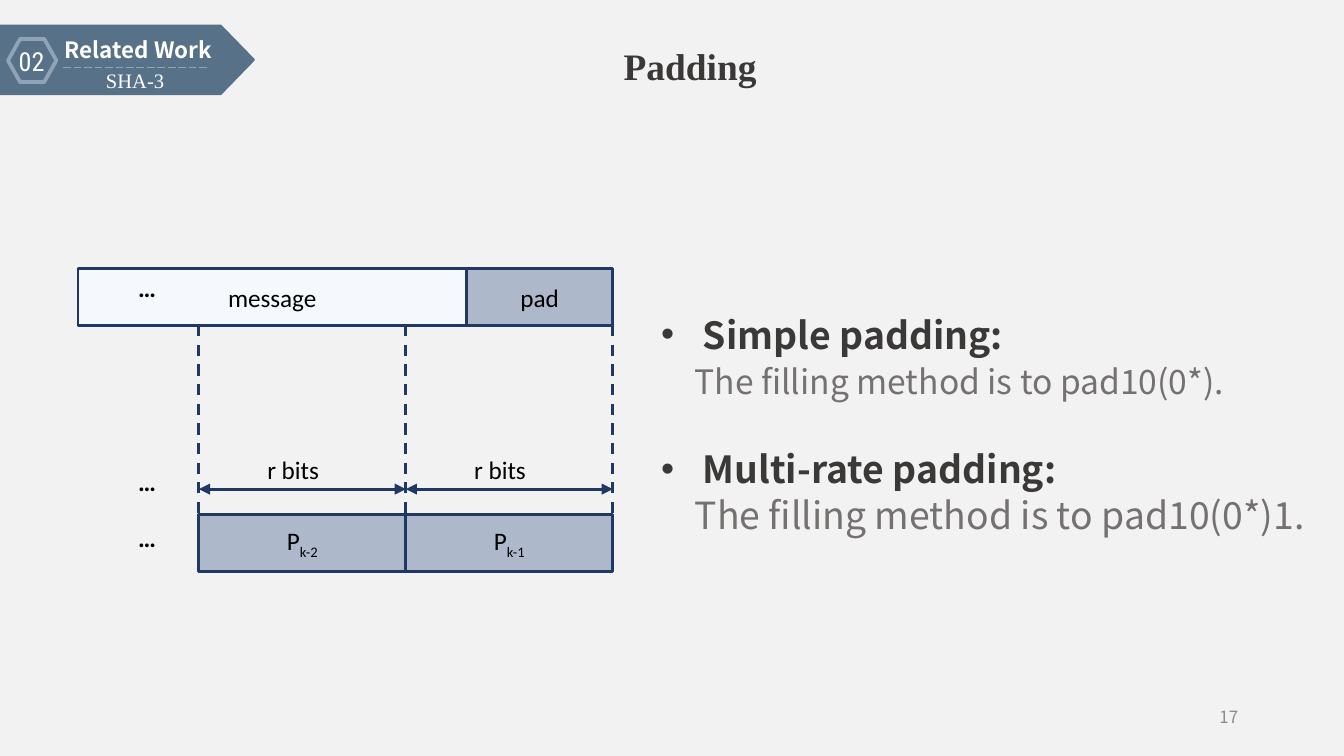
from dataclasses import dataclass

from lxml import etree
from pptx import Presentation
from pptx.dml.color import RGBColor
from pptx.enum import dml, shapes, text
from pptx.oxml import ns
from pptx.util import Inches, Pt


@dataclass(frozen=True)
class Theme:
    background: str = "F2F2F2"
    navy: str = "203864"
    pale: str = "F5F9FD"
    block: str = "ADB9CA"
    banner: str = "577188"
    banner_line: str = "8FA4B7"
    white: str = "FFFFFF"
    black: str = "000000"
    heading: str = "3B3838"
    body: str = "767171"
    page: str = "8C8C8C"
    sans: str = "Noto Sans CJK SC"
    serif: str = "Times New Roman"
    label_font: str = "Calibri"
    number_font: str = "Roboto Condensed"
    title_size: float = 20
    body_size: float = 18
    label_size: float = 13.5
    number_size: float = 14
    section_size: float = 12
    topic_size: float = 11
    page_size: float = 9


THEME = Theme()
CENTER = text.PP_ALIGN.CENTER


def rgb(value):
    return RGBColor.from_string(value)


def set_font(paragraph, name, size, color, bold=False):
    font = paragraph.font
    font.name, font.size, font.bold = name, Pt(size), bold
    font.color.rgb = rgb(color)


def add_text(slide, box, words, name, size, color, bold=False, align=None, wrap=True):
    frame = slide.shapes.add_textbox(*map(Inches, box)).text_frame
    frame.word_wrap = wrap
    paragraph = frame.paragraphs[0]
    paragraph.text = words
    paragraph.alignment = align
    set_font(paragraph, name, size, color, bold)


def add_outline(slide, kind, box, fill, line, width):
    shape = slide.shapes.add_shape(kind, *map(Inches, box))
    shape.shadow.inherit = False
    if fill:
        shape.fill.solid()
        shape.fill.fore_color.rgb = rgb(fill)
    else:
        shape.fill.background()
    shape.line.color.rgb = rgb(line)
    shape.line.width = Pt(width)
    return shape


def add_line(slide, start, end, color, width, dash=None, arrows=False):
    line = slide.shapes.add_connector(
        shapes.MSO_CONNECTOR.STRAIGHT, *map(Inches, (*start, *end)))
    line.line.color.rgb = rgb(color)
    line.line.width = Pt(width)
    if dash:
        line.line.dash_style = dash
    if arrows:
        outline = line.line._get_or_add_ln()
        for tip in ("a:headEnd", "a:tailEnd"):
            etree.SubElement(outline, ns.qn(tip), type="triangle")
    etree.SubElement(line._element.spPr, ns.qn("a:effectLst"))


def add_block(slide, box, fill, words, subscript=None):
    block = add_outline(slide, shapes.MSO_SHAPE.RECTANGLE, box, fill, THEME.navy, 1.5)
    block.text_frame.vertical_anchor = text.MSO_ANCHOR.MIDDLE
    paragraph = block.text_frame.paragraphs[0]
    paragraph.alignment = CENTER
    paragraph.add_run().text = words
    if subscript:
        run = paragraph.add_run()
        run.text = subscript
        run.font._element.set("baseline", "-25000")
    set_font(paragraph, THEME.label_font, THEME.label_size, THEME.black)


def padding_diagram(slide, left, top, width, height):
    block_height, block_width, pad_width = 0.42, 1.54, 1.09
    right, bottom = left + width, top + height
    blocks_top = bottom - block_height
    arrow_y = blocks_top - 0.19
    first = right - 2 * block_width

    # Padded message
    add_block(slide, (left, top, width - pad_width, block_height), THEME.pale, "message")
    add_block(slide, (right - pad_width, top, pad_width, block_height), THEME.block, "pad")

    # Blocks of r bits
    for i, index in enumerate(("k-2", "k-1")):
        x = first + i * block_width
        add_block(slide, (x, blocks_top, block_width, block_height), THEME.block, "P", index)
        add_line(slide, (x, arrow_y), (x + block_width, arrow_y), THEME.navy, 1.5, arrows=True)
        add_text(slide, (x + 0.41, arrow_y - 0.31, 0.72, 0.4), "r bits",
                 THEME.label_font, THEME.label_size, THEME.black)

    # Block boundaries
    for i in range(3):
        x = first + i * block_width
        add_line(slide, (x, top + block_height), (x, blocks_top), THEME.navy, 1.5,
                 dml.MSO_LINE.DASH)

    # Earlier parts
    for y in (top - 0.02, arrow_y - 0.22, blocks_top + 0.01):
        add_text(slide, (left + 0.35, y, 0.34, 0.33), "…", THEME.label_font,
                 THEME.label_size, THEME.black, bold=True, wrap=False)


def padding_methods(slide, left, top, width, height):
    methods = (
        ("Simple padding:", "The filling method is to pad10(0*).", THEME.body_size, 2.5),
        ("Multi-rate padding:", "The filling method is to pad10(0*)1.", THEME.title_size, 0.5),
    )
    frame = slide.shapes.add_textbox(*map(Inches, (left, top, width, height))).text_frame
    frame.word_wrap = True
    for i, (method, rule, rule_size, rule_gap) in enumerate(methods):
        heading = frame.add_paragraph() if i else frame.paragraphs[0]
        heading.text = method
        if i:
            heading.space_before = Pt(24)
        props = heading._p.get_or_add_pPr()
        props.set("marL", str(Inches(0.31)))
        props.set("indent", str(-Inches(0.31)))
        etree.SubElement(props, ns.qn("a:buFont"), typeface="Arial")
        etree.SubElement(props, ns.qn("a:buChar"), char="•")
        set_font(heading, THEME.sans, THEME.title_size, THEME.heading, bold=True)

        detail = frame.add_paragraph()
        detail.text = rule
        detail.space_before = Pt(rule_gap)
        detail._p.get_or_add_pPr().set("marL", str(Inches(0.25)))
        set_font(detail, THEME.sans, rule_size, THEME.body)


def section_banner(slide, left, top, width, height):
    arrow = add_outline(slide, shapes.MSO_SHAPE.PENTAGON, (left, top, width, height),
                        THEME.banner, THEME.banner, 1)
    arrow.adjustments[0] = 0.485

    # Section number
    badge = add_outline(slide, shapes.MSO_SHAPE.HEXAGON,
                        (left + 0.06, top + 0.1, 0.36, 0.32), None, THEME.banner_line, 2)
    badge.adjustments[0] = 0.28
    etree.SubElement(badge.line._get_or_add_ln(), ns.qn("a:round"))
    add_text(slide, (left, top + 0.1, 0.47, 0.34), "02", THEME.number_font,
             THEME.number_size, THEME.white, align=CENTER)

    # Section and topic
    add_text(slide, (left + 0.24, top + 0.03, 1.58, 0.3), "Related Work", THEME.sans,
             THEME.section_size, THEME.white, bold=True, align=CENTER)
    add_line(slide, (left + 0.47, top + 0.31), (left + 1.56, top + 0.31),
             THEME.banner_line, 0.5, dml.MSO_LINE.LONG_DASH)
    add_text(slide, (left + 0.69, top + 0.27, 0.67, 0.29), "SHA-3", THEME.serif,
             THEME.topic_size, THEME.white)


def main():
    deck = Presentation()
    deck.slide_width = Inches(10)
    deck.slide_height = deck.slide_width * 9 // 16
    slide = deck.slides.add_slide(deck.slide_layouts[6])
    slide.background.fill.solid()
    slide.background.fill.fore_color.rgb = rgb(THEME.background)

    add_text(slide, (4.18, 0.27, 1.91, 0.44), "Padding", THEME.serif,
             THEME.title_size, THEME.heading, bold=True, align=CENTER)
    padding_diagram(slide, 0.58, 2, 3.98, 2.25)
    padding_methods(slide, 4.82, 2.27, 5.18, 2.12)
    section_banner(slide, 0, 0.19, 1.89, 0.51)
    add_text(slide, (7.06, 5.21, 2.25, 0.3), "17", THEME.sans, THEME.page_size,
             THEME.page, align=text.PP_ALIGN.RIGHT)
    deck.save("out.pptx")


if __name__ == "__main__":
    main()
